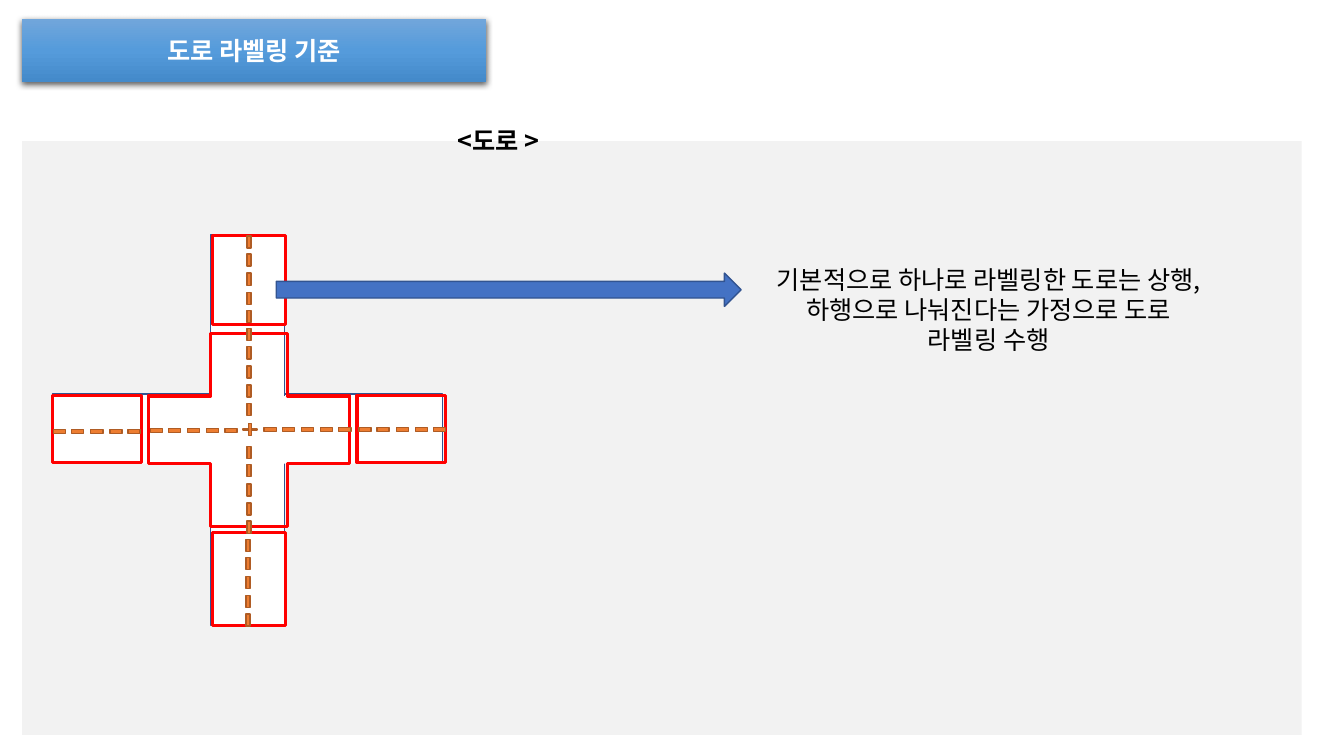
from pptx import Presentation
from pptx import util as u
from pptx.dml.color import RGBColor
from pptx.enum import shapes, text
from pptx.oxml import parse_xml
from pptx.oxml.ns import nsdecls

PX = 9144  # 100 px to the inch
FONT = "Noto Sans CJK KR"
COLORS = {
    "panel": "F2F2F2", "road": "FFFFFF", "road_edge": "325491",
    "label": "FF0000", "dash": "ED7D31", "dash_edge": "AF5C24",
    "arrow": "4472C4", "white": "FFFFFF", "black": "000000",
    "banner_top": "71A6DB", "banner_middle": "559BDB", "banner_bottom": "448ACA",
}
SHAPE = shapes.MSO_SHAPE
DASH_LONG, DASH_THICK, DASH_STEP, DASHES_PER_RUN = 12, 4, 18.5, 5


def px(*lengths):
    return [u.Emu(length * PX) for length in lengths]


def color(name):
    return RGBColor.from_string(COLORS[name])


def add_block(target, kind, frame, fill=None, edge=None, weight=1, adjust=None):
    block = target.add_shape(kind, *px(*frame))
    block.shadow.inherit = False
    if fill:
        block.fill.solid()
        block.fill.fore_color.rgb = color(fill)
    else:
        block.fill.background()
    if edge:
        block.line.color.rgb = color(edge)
        block.line.width = u.Pt(weight)
    else:
        block.line.fill.background()
    if adjust is not None:
        block.adjustments[0] = adjust
    return block


def write(box, words, ink, bold=False, anchor=text.MSO_ANCHOR.TOP):
    frame_format = {"word_wrap": True, "auto_size": text.MSO_AUTO_SIZE.NONE,
                    "vertical_anchor": anchor}
    for name, value in frame_format.items():
        setattr(box.text_frame, name, value)
    para = box.text_frame.paragraphs[0]
    para_format = {"alignment": text.PP_ALIGN.CENTER, "line_spacing": u.Pt(21.5)}
    for name, value in para_format.items():
        setattr(para, name, value)
    span = para.add_run()
    span.text = words
    for name, value in {"size": u.Pt(18), "bold": bold, "name": FONT}.items():
        setattr(span.font, name, value)
    span.font.color.rgb = color(ink)
    # Korean glyphs take their face from the East Asian font
    span.font._element.append(parse_xml(f'<a:ea {nsdecls("a")} typeface="{FONT}"/>'))


def add_words(page, frame, words):
    return page.shapes.add_textbox(*px(*frame)), words


def add_banner(page, frame, words):
    banner = page.shapes.title
    for name, value in zip(("left", "top", "width", "height"), px(*frame)):
        setattr(banner, name, value)
    stops = "".join(
        f'<a:gs pos="{place}"><a:srgbClr val="{COLORS[name]}"/></a:gs>'
        for place, name in ((0, "banner_top"), (50000, "banner_middle"),
                            (100000, "banner_bottom")))
    banner._element.spPr.append(parse_xml(
        f'<a:gradFill {nsdecls("a")} rotWithShape="1"><a:gsLst>{stops}</a:gsLst>'
        '<a:lin ang="5400000" scaled="0"/></a:gradFill>'))
    banner._element.spPr.append(parse_xml(
        f'<a:effectLst {nsdecls("a")}><a:outerShdw blurRad="57150" dist="19050" '
        'dir="5400000" algn="ctr" rotWithShape="0"><a:srgbClr val="000000">'
        '<a:alpha val="63000"/></a:srgbClr></a:outerShdw></a:effectLst>'))
    write(banner, words, "white", bold=True, anchor=text.MSO_ANCHOR.MIDDLE)


def add_text(page, frame, words, bold=False):
    write(page.shapes.add_textbox(*px(*frame)), words, "black", bold)


def add_dash_run(page, left, top, upright):
    run = page.shapes.add_group_shape()
    for index in range(DASHES_PER_RUN):
        shift = round(index * DASH_STEP)
        if upright:
            frame = (left, top + shift, DASH_THICK, DASH_LONG)
        else:
            frame = (left + shift, top, DASH_LONG, DASH_THICK)
        add_block(run.shapes, SHAPE.RECTANGLE, frame, "dash", "dash_edge")


def add_crossroads(page):
    # Road surface
    for frame in ((52, 391, 387, 68), (209, 233, 73, 387)):
        add_block(page.shapes, SHAPE.RECTANGLE, frame, "road", "road_edge")


def add_labels(page):
    # Red label outlines: the junction and its four arms
    add_block(page.shapes, SHAPE.CROSS, (147, 331, 200, 191),
              edge="label", weight=2.25, adjust=0.324)
    for frame in ((52, 392, 88, 67), (211, 234, 72, 88),
                  (211, 528, 72, 93), (354, 392, 88, 67)):
        add_block(page.shapes, SHAPE.RECTANGLE, frame, edge="label", weight=2.25)


def add_centre_lines(page):
    for left, top in ((245, 234), (245, 326), (245, 443), (244, 535)):
        add_dash_run(page, left, top, upright=True)
    for left, top in ((53, 426), (149, 425), (262, 424), (356, 424)):
        add_dash_run(page, left, top, upright=False)


def main():
    deck = Presentation()
    deck.slide_width, deck.slide_height = px(1333, 750)
    page = deck.slides.add_slide(deck.slide_layouts[5])

    # Banner, panel and heading
    add_banner(page, (22, 19, 460, 62), "도로 라벨링 기준")
    add_block(page.shapes, SHAPE.RECTANGLE, (22, 140, 1269, 589), "panel")
    add_crossroads(page)
    add_text(page, (332, 120, 324, 40), "<도로 >", bold=True)

    # Labelled road
    add_block(page.shapes, SHAPE.RECTANGLE, (115, 393, 243, 67), "road")
    add_labels(page)
    add_centre_lines(page)

    # Explanation
    add_block(page.shapes, SHAPE.RIGHT_ARROW, (274, 271, 461, 33),
              "arrow", "road_edge")
    add_text(page, (760, 257, 441, 101),
             "기본적으로 하나로 라벨링한 도로는 상행, 하행으로 나눠진다는 "
             "가정으로 도로 라벨링 수행")
    add_block(page.shapes, SHAPE.CROSS, (241, 420, 14, 12),
              "dash", "dash_edge", adjust=0.46)

    deck.save("out.pptx")


if __name__ == "__main__":
    main()
